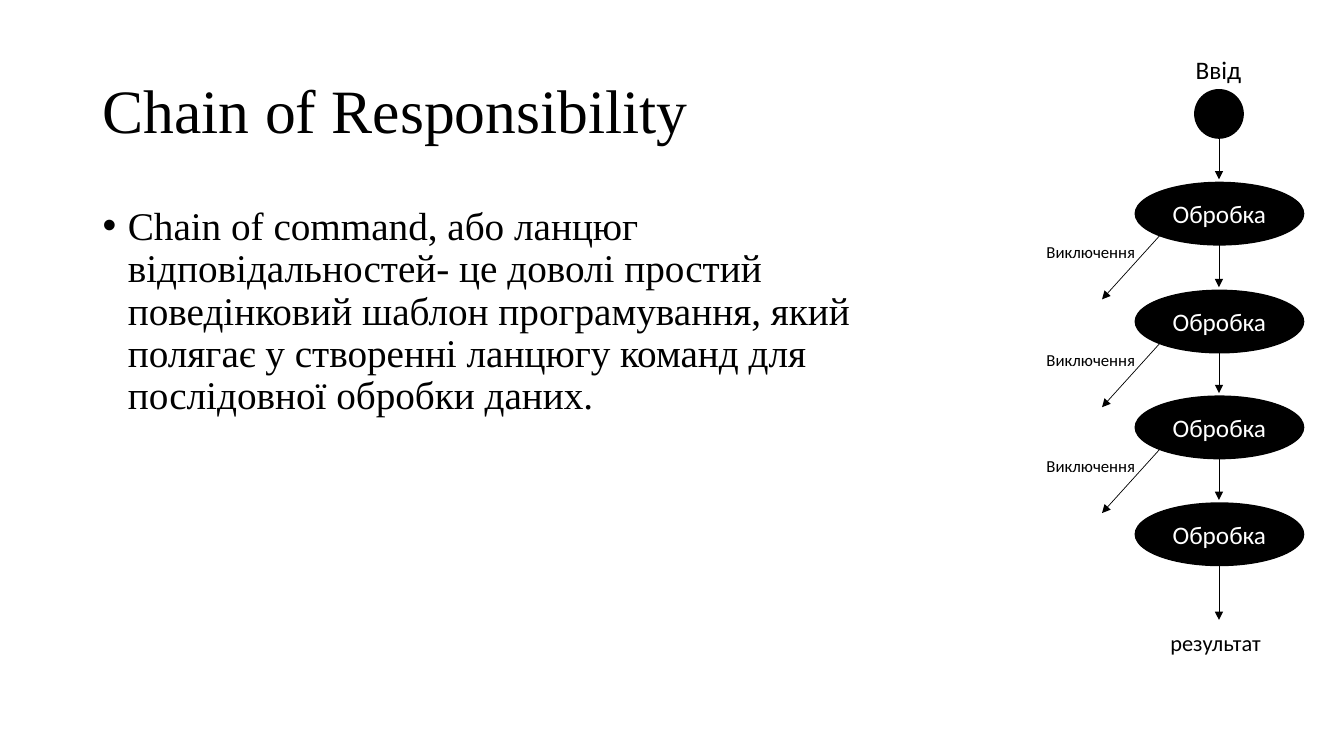
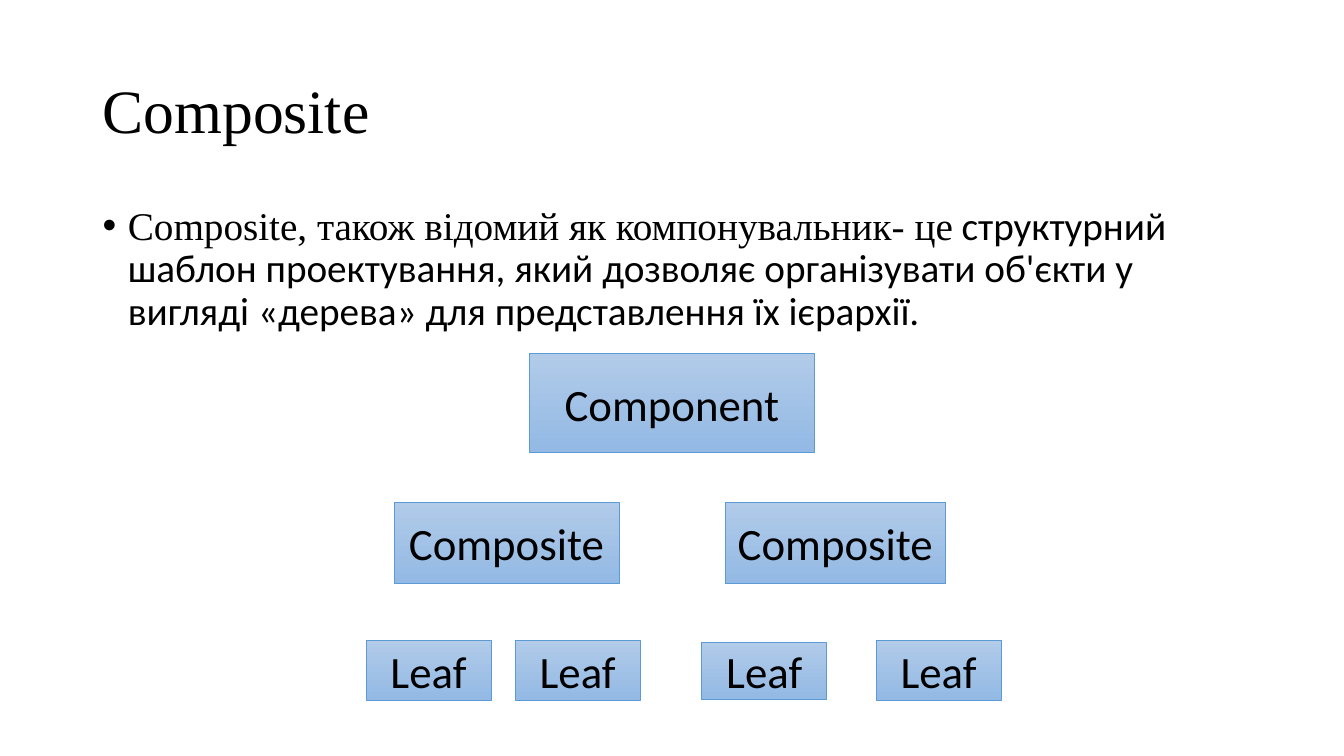
from typing import NamedTuple

from lxml.etree import SubElement
from pptx import Presentation
from pptx.dml.color import RGBColor
from pptx.enum.shapes import MSO_CONNECTOR, MSO_SHAPE
from pptx.enum.text import MSO_ANCHOR as Anchor, PP_ALIGN as Align
from pptx.oxml.ns import qn
from pptx.shapes.autoshape import Shape
from pptx.slide import Slide
from pptx.text.text import _Paragraph as Paragraph
from pptx.util import Emu, Pt

EMU_PER_PX = 9144

BLACK = RGBColor(0x00, 0x00, 0x00)
WHITE = RGBColor(0xFF, 0xFF, 0xFF)
BLUE = RGBColor(0x5B, 0x9B, 0xD5)
BLUE_TOP = RGBColor(0xB1, 0xCB, 0xE9)
BLUE_BOTTOM = RGBColor(0x93, 0xB9, 0xE4)

SERIF = "Times New Roman"
SANS = "Calibri"


class Area(NamedTuple):
    left: int
    top: int
    width: int
    height: int


class Span(NamedTuple):
    text: str
    font: str


class Node(NamedTuple):
    text: str
    area: Area


TITLE_AREA = Area(92, 40, 1150, 145)
BODY_LEFT, BODY_TOP, BODY_HEIGHT = 92, 200, 476
BULLET_INDENT = 25

CHAIN_X = 1209
STAGE_TOPS = (181, 288, 393, 499)
STAGE_WIDTH, STAGE_HEIGHT = 167, 62

LEAF_WIDTH = 124
TREE = (
    Node("Component", Area(525, 351, 283, 98)),
    Node("Composite", Area(391, 498, 223, 81)),
    Node("Composite", Area(719, 498, 219, 81)),
    Node("Leaf", Area(363, 635, LEAF_WIDTH, 60)),
    Node("Leaf", Area(511, 635, LEAF_WIDTH, 60)),
    Node("Leaf", Area(696, 637, LEAF_WIDTH, 57)),
    Node("Leaf", Area(869, 635, LEAF_WIDTH, 60)),
)


def px(length: int) -> Emu:
    return Emu(length * EMU_PER_PX)


def emus(area: Area) -> list[Emu]:
    return [px(length) for length in area]


def set_font(para: Paragraph, size: int, color: RGBColor = BLACK, name: str = SANS) -> None:
    para.font.size = Pt(size)
    para.font.color.rgb = color
    para.font.name = name


def add_text(page: Slide, area: Area, text: str, size: int, name: str = SANS,
             anchor: Anchor = Anchor.TOP, wrap: bool = True) -> Paragraph:
    frame = page.shapes.add_textbox(*emus(area)).text_frame
    frame.word_wrap = wrap
    frame.vertical_anchor = anchor
    para = frame.paragraphs[0]
    para.text = text
    set_font(para, size, name=name)
    return para


def add_title(page: Slide, text: str) -> None:
    add_text(page, TITLE_AREA, text, 44, SERIF, Anchor.MIDDLE).line_spacing = 0.9


def add_body(page: Slide, width: int, spans: list[Span]) -> None:
    area = Area(BODY_LEFT, BODY_TOP, width, BODY_HEIGHT)
    frame = page.shapes.add_textbox(*emus(area)).text_frame
    frame.word_wrap = True
    para = frame.paragraphs[0]
    para.line_spacing = 0.9
    properties = para._p.get_or_add_pPr()
    properties.set("marL", str(px(BULLET_INDENT)))
    properties.set("indent", str(px(-BULLET_INDENT)))
    SubElement(properties, qn("a:buFont")).set("typeface", "Arial")
    SubElement(properties, qn("a:buChar")).set("char", "•")
    set_font(para, 28, name=spans[0].font)
    for span in spans:
        run = para.add_run()
        run.text = span.text
        if span.font != spans[0].font:
            run.font.name = span.font


def add_figure(page: Slide, kind: MSO_SHAPE, area: Area, line: RGBColor, weight: float) -> Shape:
    figure = page.shapes.add_shape(kind, *emus(area))
    figure.shadow.inherit = False
    figure.line.color.rgb = line
    figure.line.width = Pt(weight)
    return figure


def set_label(figure: Shape, text: str, size: int, color: RGBColor) -> None:
    figure.text_frame.vertical_anchor = Anchor.MIDDLE
    para = figure.text_frame.paragraphs[0]
    para.text = text
    para.alignment = Align.CENTER
    set_font(para, size, color)


def add_oval(page: Slide, area: Area) -> Shape:
    oval = add_figure(page, MSO_SHAPE.OVAL, area, BLACK, 1)
    oval.fill.solid()
    oval.fill.fore_color.rgb = BLACK
    return oval


def add_arrow(page: Slide, x1: int, y1: int, x2: int, y2: int) -> None:
    arrow = page.shapes.add_connector(MSO_CONNECTOR.STRAIGHT, px(x1), px(y1), px(x2), px(y2))
    arrow.line.color.rgb = BLACK
    arrow.line.width = Pt(0.5)
    SubElement(arrow.line._get_or_add_ln(), qn("a:tailEnd")).set("type", "triangle")
    SubElement(arrow._element.spPr, qn("a:effectLst"))


def add_stage(page: Slide, top: int) -> None:
    left = CHAIN_X - STAGE_WIDTH // 2
    oval = add_oval(page, Area(left, top, STAGE_WIDTH, STAGE_HEIGHT))
    set_label(oval, "Обробка", 18, WHITE)
    add_arrow(page, CHAIN_X, top - 45, CHAIN_X, top - 3)


def add_exception(page: Slide, top: int) -> None:
    add_arrow(page, 1150, top + 53, 1093, top + 116)
    add_text(page, Area(1028, top + 54, 115, 30), "Виключення", 12)


def add_node(page: Slide, node: Node) -> None:
    box = add_figure(page, MSO_SHAPE.RECTANGLE, node.area, BLUE, 0.5)
    box.fill.gradient()
    box.fill.gradient_angle = 270
    for stop, color in zip(box.fill.gradient_stops, (BLUE_TOP, BLUE_BOTTOM)):
        stop.color.rgb = color
    set_label(box, node.text, 32, BLACK)


def build_chain(page: Slide) -> None:
    add_title(page, "Chain of Responsibility")
    add_body(page, 853, [Span(
        "Chain of command, або ланцюг відповідальностей- це доволі простий поведінковий "
        "шаблон програмування, який полягає у створенні ланцюгу команд для послідовної "
        "обробки даних.", SERIF)])
    add_text(page, Area(1176, 49, 66, 40), "Ввід", 18, wrap=False)
    add_oval(page, Area(CHAIN_X - 24, 89, 48, 48))
    for top in STAGE_TOPS:
        add_stage(page, top)
    for top in STAGE_TOPS[:-1]:
        add_exception(page, top)
    add_arrow(page, CHAIN_X, STAGE_TOPS[-1] + STAGE_HEIGHT, CHAIN_X, 615)
    add_text(page, Area(1151, 619, 115, 37), "результат", 16)


def build_composite(page: Slide) -> None:
    add_title(page, "Composite")
    add_body(page, 1150, [
        Span("Composite, також відомий як компонувальник- це", SERIF),
        Span(" структурний шаблон проектування, який дозволяє організувати об'єкти у "
             "вигляді «дерева» для представлення їх ієрархії.", SANS),
    ])
    for node in TREE:
        add_node(page, node)


def main() -> None:
    deck = Presentation()
    deck.slide_width, deck.slide_height = px(1333), px(750)
    blank = deck.slide_layouts[6]
    for build in (build_chain, build_composite):
        build(deck.slides.add_slide(blank))
    deck.save("out.pptx")


if __name__ == "__main__":
    main()
